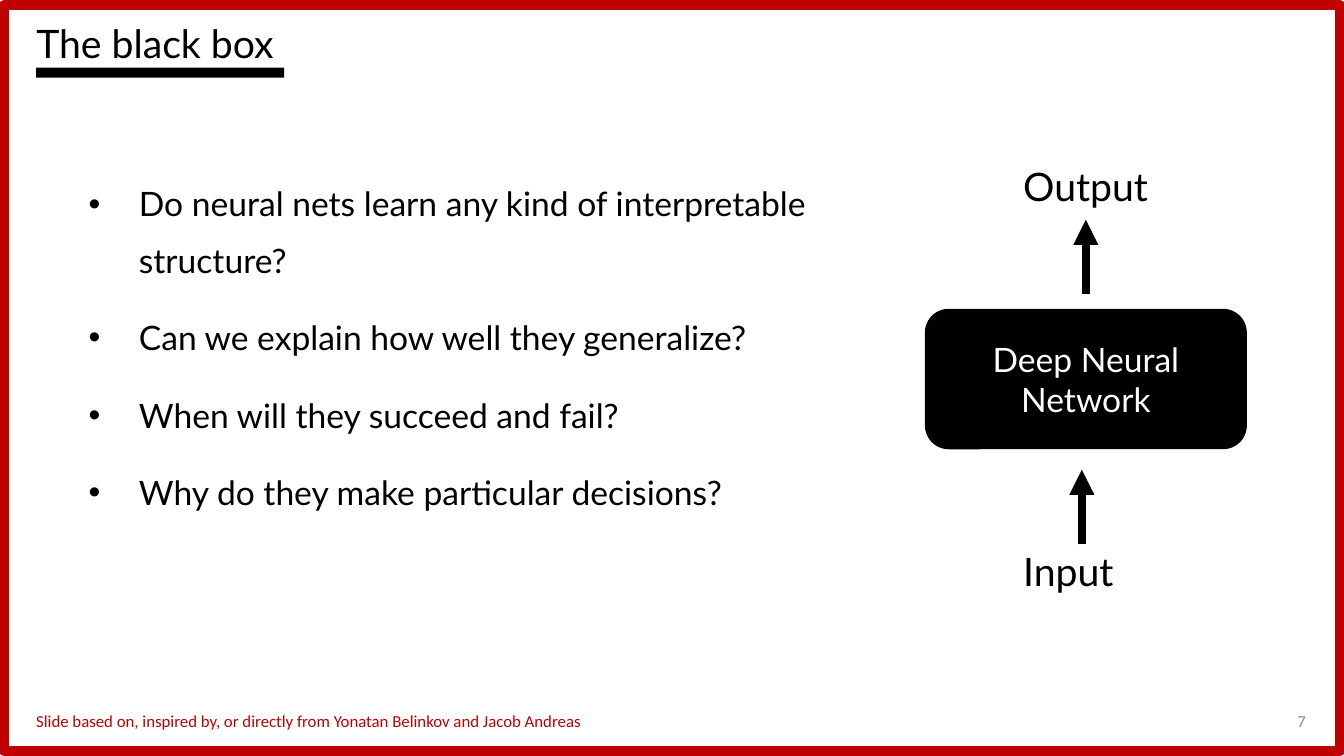
from lxml import etree
from pptx import Presentation
from pptx.dml.color import RGBColor
from pptx.enum.shapes import MSO_CONNECTOR, MSO_SHAPE
from pptx.enum.text import MSO_ANCHOR, MSO_AUTO_SIZE, PP_ALIGN
from pptx.oxml.ns import qn
from pptx.util import Pt

PX = 9144
BLACK = RGBColor(0x00, 0x00, 0x00)
WHITE = RGBColor(0xFF, 0xFF, 0xFF)
RED = RGBColor(0xC0, 0x00, 0x00)
GRAY = RGBColor(0x8C, 0x8C, 0x8C)
RECT, ROUND_RECT = MSO_SHAPE.RECTANGLE, MSO_SHAPE.ROUNDED_RECTANGLE
STRAIGHT = MSO_CONNECTOR.STRAIGHT
TOP, MIDDLE = MSO_ANCHOR.TOP, MSO_ANCHOR.MIDDLE
NO_AUTOFIT = MSO_AUTO_SIZE.NONE
LEFT, CENTER, RIGHT = PP_ALIGN.LEFT, PP_ALIGN.CENTER, PP_ALIGN.RIGHT

QUESTIONS = [
    "Do neural nets learn any kind of interpretable structure?",
    "Can we explain how well they generalize?",
    "When will they succeed and fail?",
    "Why do they make particular decisions?",
]
CREDIT = "Slide based on, inspired by, or directly from Yonatan Belinkov and Jacob Andreas"


def emu(*lengths):
    """Turn px lengths into EMU."""
    return [length * PX for length in lengths]


def write(paragraph, text, size, color=BLACK, font="Lato", align=LEFT, spacing=None):
    """Add one formatted run to a paragraph."""
    paragraph.alignment = align
    paragraph.line_spacing = spacing
    run = paragraph.add_run()
    run.text = text
    run.font.name = font
    run.font.size = Pt(size)
    run.font.color.rgb = color


def add_text_frame(slide, box, anchor=TOP):
    """Add a wrapping text box and return its text frame."""
    frame = slide.shapes.add_textbox(*emu(*box)).text_frame
    frame.word_wrap = True
    frame.vertical_anchor = anchor
    return frame


def add_block(slide, kind, box, fill, line=None, width=1):
    """Add a flat filled shape with an optional outline."""
    block = slide.shapes.add_shape(kind, *emu(*box))
    block.shadow.inherit = False
    block.fill.solid()
    block.fill.fore_color.rgb = fill
    if line is None:
        block.line.fill.background()
    else:
        block.line.color.rgb = line
        block.line.width = Pt(width)
    return block


def add_up_arrow(slide, x, bottom, length):
    """Draw a thick arrow pointing upwards."""
    arrow = slide.shapes.add_connector(STRAIGHT, *emu(x, bottom, x, bottom - length))
    arrow.line.color.rgb = BLACK
    arrow.line.width = Pt(6)
    etree.SubElement(arrow.line._get_or_add_ln(), qn("a:tailEnd"), type="triangle")
    etree.SubElement(arrow._element.spPr, qn("a:effectLst"))


def add_border(slide, box):
    """Put the red page border behind everything else."""
    border = add_block(slide, RECT, box, WHITE, RED, 7)
    slide.shapes._spTree.insert(2, border._element)


def add_heading(slide, box):
    """Set the title and the bar beneath it."""
    left, top, width, height = box
    add_block(slide, RECT, (left + 10, top + 48, 246, 10), BLACK)
    title = slide.shapes.title
    title.left, title.top, title.width, title.height = emu(*box)
    title.text_frame.auto_size = NO_AUTOFIT
    title.text_frame.vertical_anchor = TOP
    write(title.text_frame.paragraphs[0], "The black box", 28, spacing=0.9)


def add_questions(slide, box):
    """List the bulleted questions."""
    frame = add_text_frame(slide, box)
    for index, question in enumerate(QUESTIONS):
        paragraph = frame.add_paragraph() if index else frame.paragraphs[0]
        properties = paragraph._p.get_or_add_pPr()
        properties.set("marL", str(50 * PX))
        properties.set("indent", str(-50 * PX))
        etree.SubElement(properties, qn("a:buFont"), typeface="Arial")
        etree.SubElement(properties, qn("a:buChar"), char="•")
        if index:
            paragraph.space_before = Pt(15)
        write(paragraph, question, 24, spacing=1.4)


def add_network(slide, box):
    """Draw the path from input through the network to output."""
    left, top, width, height = box
    for label, label_top, label_width, label_height in (
        ("Input", top + 382, 133, 59),
        ("Output", top, 179, 56),
    ):
        frame = add_text_frame(slide, (left + 87, label_top, label_width, label_height))
        write(frame.paragraphs[0], label, 28, spacing=0.9)
    network = add_block(slide, ROUND_RECT, (left, top + 146, width, 138), BLACK, BLACK)
    network.text_frame.word_wrap = True
    network.text_frame.vertical_anchor = MIDDLE
    write(network.text_frame.paragraphs[0], "Deep Neural Network", 24, WHITE, align=CENTER)
    add_up_arrow(slide, left + 155, top + 379, 74)
    add_up_arrow(slide, left + 159, top + 131, 74)


def add_footer(slide, box):
    """Write the credit line and the page number."""
    left, top, width, height = box
    credit = add_text_frame(slide, (left, top + 5, 641, 30))
    write(credit.paragraphs[0], CREDIT, 12, RED, "Calibri")
    number = add_text_frame(slide, (left + width - 300, top, 300, height), MIDDLE)
    write(number.paragraphs[0], "7", 12, GRAY, "Calibri", RIGHT)


def main():
    """Build and save the slide."""
    prs = Presentation()
    prs.slide_width, prs.slide_height = emu(1333, 750)
    slide = prs.slides.add_slide(prs.slide_layouts[5])
    add_border(slide, (4, 5, 1325, 740))
    add_heading(slide, (26, 19, 412, 68))
    add_questions(slide, (78, 161, 790, 363))
    add_network(slide, (918, 161, 318, 441))
    add_footer(slide, (26, 695, 1279, 40))
    prs.save("out.pptx")


if __name__ == "__main__":
    main()
